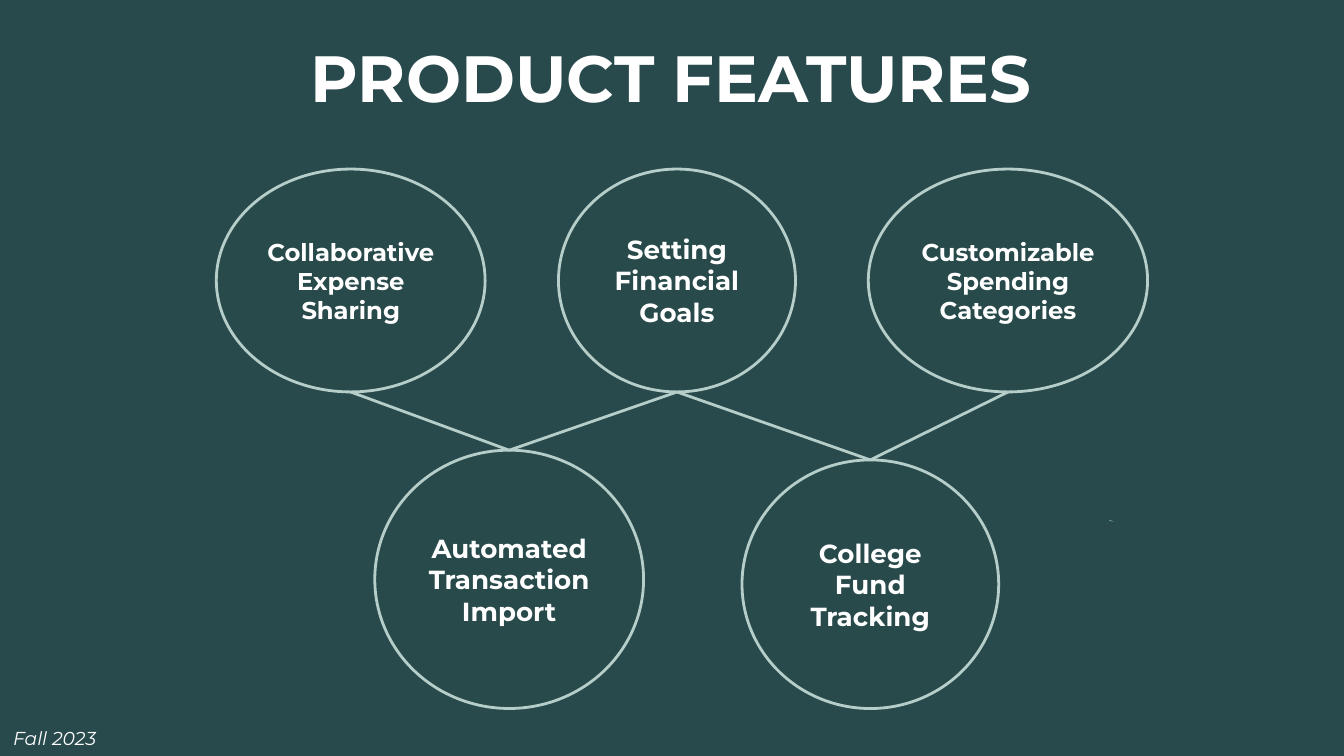
from pptx import Presentation
from pptx.dml.color import RGBColor
from pptx.enum.shapes import MSO_CONNECTOR, MSO_SHAPE
from pptx.enum.text import MSO_ANCHOR, PP_ALIGN
from pptx.oxml.ns import qn
from pptx.util import Pt
from lxml import etree

STRAIGHT = MSO_CONNECTOR.STRAIGHT
ELLIPSE = MSO_SHAPE.OVAL
CENTER = PP_ALIGN.CENTER
LEFT = PP_ALIGN.LEFT
MIDDLE = MSO_ANCHOR.MIDDLE
BACKGROUND = "294A4C"
BUBBLE_FILL = "294A4B"
OUTLINE = "B6CEC9"
WHITE = "FFFFFF"
SPECK = "98E9C2"


def set_color(color_format, value):
    color_format.rgb = RGBColor.from_string(value)


def write_text(shape, text, size, bold=False, italic=False, align=CENTER,
               anchor=MIDDLE, wrap=True, insets=(7.2, 3.6)):
    frame = shape.text_frame
    frame.word_wrap = wrap
    frame.vertical_anchor = anchor
    frame.margin_left = frame.margin_right = Pt(insets[0])
    frame.margin_top = frame.margin_bottom = Pt(insets[1])
    paragraph = frame.paragraphs[0]
    paragraph.alignment = align
    run = paragraph.add_run()
    run.text = text
    run.font.name = "Montserrat"
    run.font.size = Pt(size)
    run.font.bold = bold
    run.font.italic = italic
    set_color(run.font.color, WHITE)


presentation = Presentation()
presentation.slide_width = Pt(720)
presentation.slide_height = Pt(405)
slide = presentation.slides.add_slide(presentation.slide_layouts[5])
slide.background.fill.solid()
set_color(slide.background.fill.fore_color, BACKGROUND)

builder = slide.shapes.build_freeform(Pt(594), Pt(278.5))
builder.add_line_segments([(Pt(596.5), Pt(279.4)), (Pt(595), Pt(279.2))])
speck = builder.convert_to_shape()
speck.shadow.inherit = False
speck.fill.solid()
set_color(speck.fill.fore_color, SPECK)
speck.line.fill.background()

title = slide.shapes.title
title.left, title.top, title.width, title.height = Pt(84.2), Pt(10.8), Pt(550.8), Pt(59.8)
write_text(title, "PRODUCT FEATURES", 35, bold=True, insets=(7.2, 7.2))

features = [
    ("Collaborative Expense Sharing", 115.9, 90.6, 144, 119.4, 13),
    ("Automated Transaction Import", 200.8, 241.2, 144, 138.4, 14),
    ("Setting Financial Goals", 299.2, 90.6, 127, 119.4, 14),
    ("College Fund Tracking", 397.5, 246.4, 137.5, 133.2, 14),
    ("Customizable Spending Categories", 465.2, 90.6, 149.6, 119.4, 13),
]
bubbles = []
for text, left, top, width, height, size in features:
    bubble = slide.shapes.add_shape(ELLIPSE, Pt(left), Pt(top), Pt(width), Pt(height))
    bubble.shadow.inherit = False
    bubble.fill.solid()
    set_color(bubble.fill.fore_color, BUBBLE_FILL)
    set_color(bubble.line.color, OUTLINE)
    bubble.line.width = Pt(1.5)
    write_text(bubble, text, size, bold=True, insets=(5, 2.9))
    bubbles.append(bubble)

for upper, lower in [(0, 1), (2, 1), (2, 3), (4, 3)]:
    start, end = bubbles[upper], bubbles[lower]
    connector = slide.shapes.add_connector(
        STRAIGHT,
        start.left + start.width // 2, start.top + start.height,
        end.left + end.width // 2, end.top)
    connector.end_connect(end, 0)
    set_color(connector.line.color, OUTLINE)
    connector.line.width = Pt(1.5)
    etree.SubElement(connector._element.spPr, qn("a:effectLst"))

term = slide.shapes.add_textbox(Pt(0), Pt(385.8), Pt(60), Pt(19.4))
write_text(term, "Fall 2023", 10, italic=True, align=LEFT, wrap=False)

presentation.save("out.pptx")
